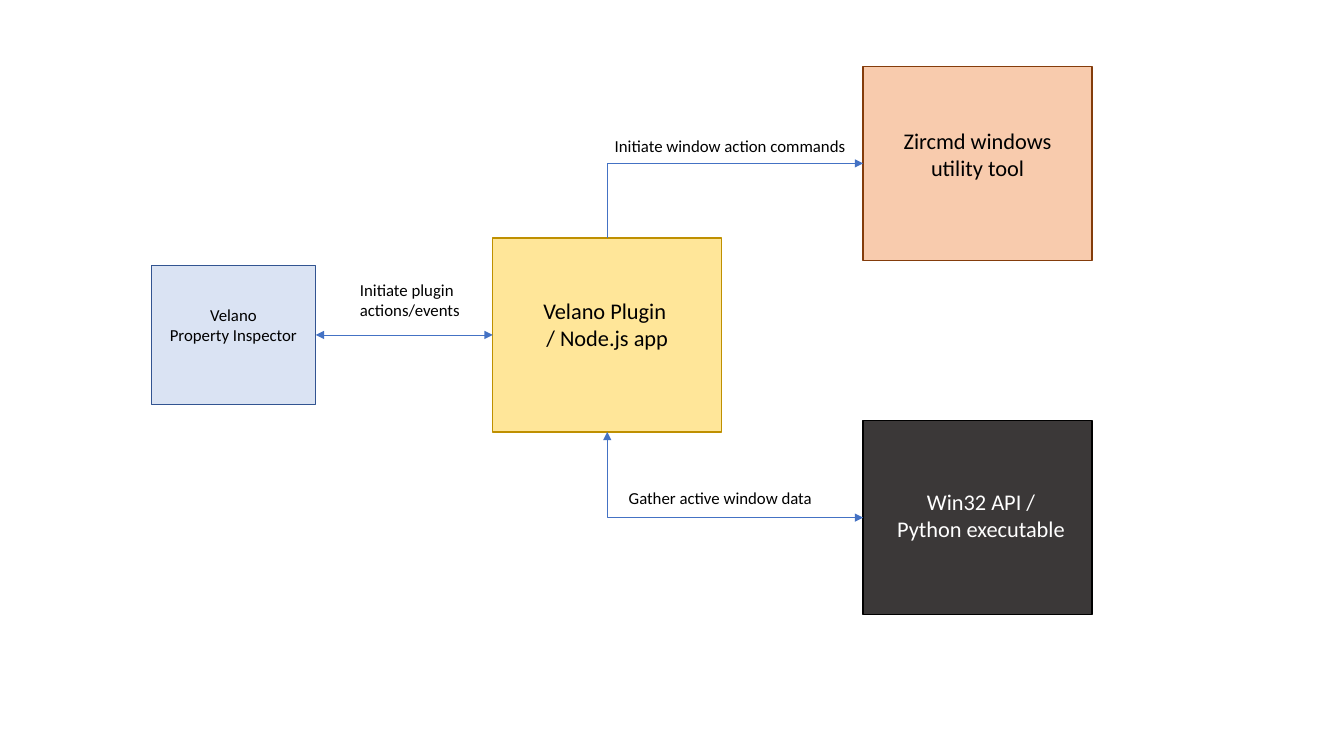
from pptx import Presentation
from pptx.util import Pt
from pptx.dml.color import RGBColor
from pptx.enum.shapes import MSO_CONNECTOR as Link, MSO_SHAPE as Shape
from pptx.enum.text import MSO_AUTO_SIZE as Fit, PP_ALIGN as Align
from pptx.oxml.ns import qn
from lxml.etree import SubElement

COLORS = {
    "blue": "DAE3F3", "blue_edge": "325491",
    "peach": "F8CBAD", "peach_edge": "843C0B",
    "yellow": "FFE699", "yellow_edge": "BF9000",
    "dark": "3B3838", "dark_edge": "000000",
    "arrow": "4472C4", "black": "000000", "white": "FFFFFF",
}


def color(name):
    return RGBColor.from_string(COLORS[name])


def add_arrow(kind, start, end, ends):
    arrow = slide.shapes.add_connector(kind, *(Pt(value) for value in start + end))
    arrow.line.color.rgb = color("arrow")
    arrow.line.width = Pt(0.5)
    for name in ends:
        SubElement(arrow.line._get_or_add_ln(), qn(f"a:{name}"), type="triangle")
    SubElement(arrow._element.spPr, qn("a:effectLst"))
    return arrow


deck = Presentation()
deck.slide_width, deck.slide_height = Pt(960), Pt(540)
slide = deck.slides.add_slide(deck.slide_layouts[6])

box_width, box_height = 163.5, 138.5
plugin_left, plugin_top = 352, 170
tool_left, tool_top, api_top = 616.5, 47.5, 300.5
inspector_left, inspector_width, inspector_height = 108, 117.5, 99.5
plugin_center = plugin_left + box_width / 2
plugin_middle = plugin_top + box_height / 2
inspector_top = plugin_middle - inspector_height / 2

boxes = [
    (inspector_left, inspector_top, inspector_width, inspector_height, "blue"),
    (tool_left, tool_top, box_width, box_height, "peach"),
    (plugin_left, plugin_top, box_width, box_height, "yellow"),
    (tool_left, api_top, box_width, box_height, "dark"),
]
for left, top, width, height, fill in boxes:
    box = slide.shapes.add_shape(Shape.RECTANGLE, Pt(left), Pt(top), Pt(width), Pt(height))
    box.shadow.inherit = False
    box.fill.solid()
    box.fill.fore_color.rgb = color(fill)
    box.line.color.rgb = color(f"{fill}_edge")
    box.line.width = Pt(1)

both_ends = ("headEnd", "tailEnd")
bends = [
    (plugin_top, tool_top + box_height / 2, 90, ("tailEnd",)),
    (plugin_top + box_height, api_top + box_height / 2, 270, both_ends),
]
run = tool_left - plugin_center
center = plugin_center + run / 2
for start_y, end_y, turn, ends in bends:
    half_rise = abs(end_y - start_y) / 2
    middle = (start_y + end_y) / 2
    half_run = run / 2 if end_y < start_y else -run / 2
    bend = add_arrow(Link.ELBOW, (center + half_rise, middle + half_run),
                     (center - half_rise, middle - half_run), ends)
    bend.rotation = turn
    bend._element.spPr.find(qn("a:prstGeom")).set("prst", "bentConnector2")

add_arrow(Link.STRAIGHT, (inspector_left + inspector_width, plugin_middle),
          (plugin_left, plugin_middle), both_ends)

labels = [
    (113.5, 214, 106.5, 36, 12, "black", Align.CENTER, False, ["Velano", "Property Inspector"]),
    (363.5, 209, 140.5, 46, 16, "black", Align.CENTER, True, ["Velano Plugin ", "/ Node.js app"]),
    (628, 87, 140.5, 46, 16, "black", Align.CENTER, True, ["Zircmd windows utility tool"]),
    (630.5, 345, 140.5, 46, 16, "white", Align.CENTER, True, ["Win32 API / Python executable"]),
    (442, 345, 147, 22, 12, "black", Align.LEFT, False, ["Gather active window data"]),
    (250, 196, 90.5, 36, 12, "black", Align.LEFT, True, ["Initiate plugin actions/events"]),
    (432, 93.5, 181.5, 22, 12, "black", Align.LEFT, False, ["Initiate window action commands"]),
]
for left, top, width, height, size, ink, align, wrap, lines in labels:
    label = slide.shapes.add_textbox(Pt(left), Pt(top), Pt(width), Pt(height))
    frame = label.text_frame
    frame.word_wrap = wrap
    frame.auto_size = Fit.SHAPE_TO_FIT_TEXT
    for index, line in enumerate(lines):
        para = frame.add_paragraph() if index else frame.paragraphs[0]
        para.alignment = align
        span = para.add_run()
        span.text = line
        span.font.name = "Calibri"
        span.font.size = Pt(size)
        span.font.color.rgb = color(ink)

deck.save("out.pptx")
